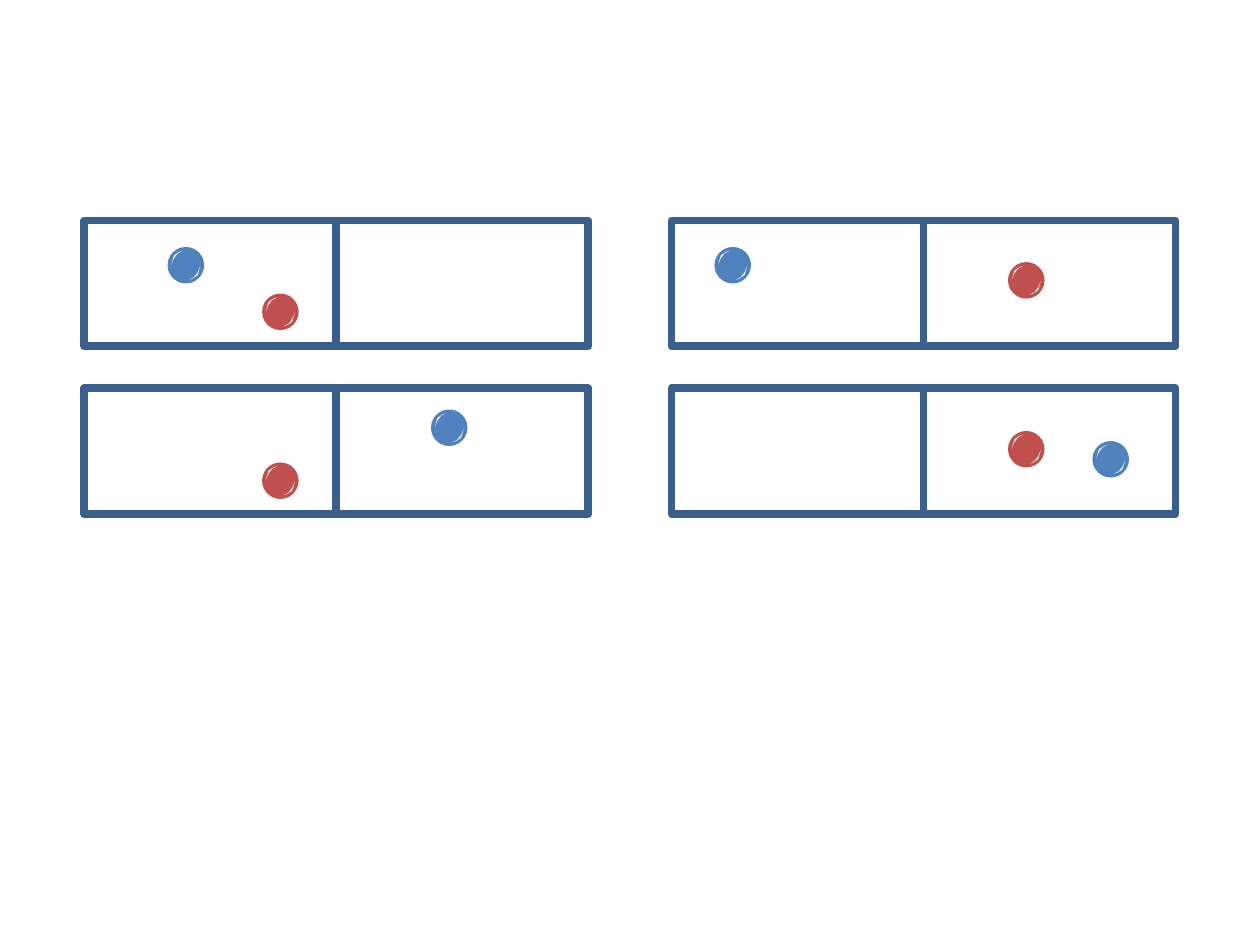
from dataclasses import dataclass

from pptx import Presentation
from pptx.dml.color import RGBColor
from pptx.enum.shapes import MSO_SHAPE as Preset
from pptx.shapes.base import BaseShape
from pptx.shapes.shapetree import GroupShapes, SlideShapes
from pptx.util import Inches, Pt

COLOURS = {"wall": "3A5F8C", "blue": "4F81BD", "red": "C0504D", "glint": "FFFFFF"}
CELL_WIDTH, CELL_HEIGHT, CELLS_PER_BOX = 2, 1, 2
BALL_SIZE = 0.29
GLINT_OUTLINE = [
    (0, 0.11), (0.04, 0.09), (0.07, 0.05), (0.09, 0),
    (0.07, 0.07), (0.06, 0.08), (0.03, 0.1),
]


@dataclass
class Ball:
    colour: str
    left: float
    top: float


@dataclass
class Box:
    left: float
    top: float
    balls: list[Ball]


BOXES = [
    Box(0.67, 1.75, [Ball("blue", 1.33, 1.96), Ball("red", 2.08, 2.33)]),
    Box(5.33, 1.75, [Ball("blue", 5.67, 1.96), Ball("red", 8, 2.08)]),
    Box(0.67, 3.08, [Ball("blue", 3.42, 3.25), Ball("red", 2.08, 3.67)]),
    Box(5.33, 3.08, [Ball("blue", 8.67, 3.5), Ball("red", 8, 3.42)]),
]


def paint(shape: BaseShape, colour: str) -> None:
    """Give a shape a plain fill without outline or shadow."""
    shape.shadow.inherit = False
    shape.fill.solid()
    shape.fill.fore_color.rgb = RGBColor.from_string(COLOURS[colour])
    shape.line.fill.background()


def draw_cell(shapes: SlideShapes, left: float, top: float) -> None:
    """Draw one hollow half of a box."""
    cell = shapes.add_shape(
        Preset.RECTANGLE, Inches(left), Inches(top), Inches(CELL_WIDTH), Inches(CELL_HEIGHT)
    )
    cell.shadow.inherit = False
    cell.fill.background()
    cell.line.color.rgb = RGBColor.from_string(COLOURS["wall"])
    cell.line.width = Pt(4.5)


def draw_glint(shapes: GroupShapes, left: float, top: float, rotation: float) -> None:
    """Draw a crescent highlight on a ball."""
    points = [(Inches(left + x), Inches(top + y)) for x, y in GLINT_OUTLINE]
    builder = shapes.build_freeform(*points[0])
    builder.add_line_segments(points[1:], close=True)
    glint = builder.convert_to_shape()
    glint.rotation = rotation
    paint(glint, "glint")


def draw_ball(shapes: SlideShapes, ball: Ball) -> None:
    """Draw a ball and its two opposite highlights as a group."""
    parts = shapes.add_group_shape().shapes
    disc = parts.add_shape(
        Preset.OVAL, Inches(ball.left), Inches(ball.top), Inches(BALL_SIZE), Inches(BALL_SIZE)
    )
    paint(disc, ball.colour)
    draw_glint(parts, ball.left + 0.17, ball.top + 0.15, 0)
    draw_glint(parts, ball.left + 0.03, ball.top + 0.03, 180)


def main() -> None:
    """Build the page with four boxes of two balls each."""
    deck = Presentation()
    deck.slide_width, deck.slide_height = Inches(10), Inches(7.5)
    page = deck.slides.add_slide(deck.slide_layouts[6])
    for box in BOXES:
        for column in range(CELLS_PER_BOX):
            draw_cell(page.shapes, box.left + column * CELL_WIDTH, box.top)
        for ball in box.balls:
            draw_ball(page.shapes, ball)
    deck.save("out.pptx")


if __name__ == "__main__":
    main()
